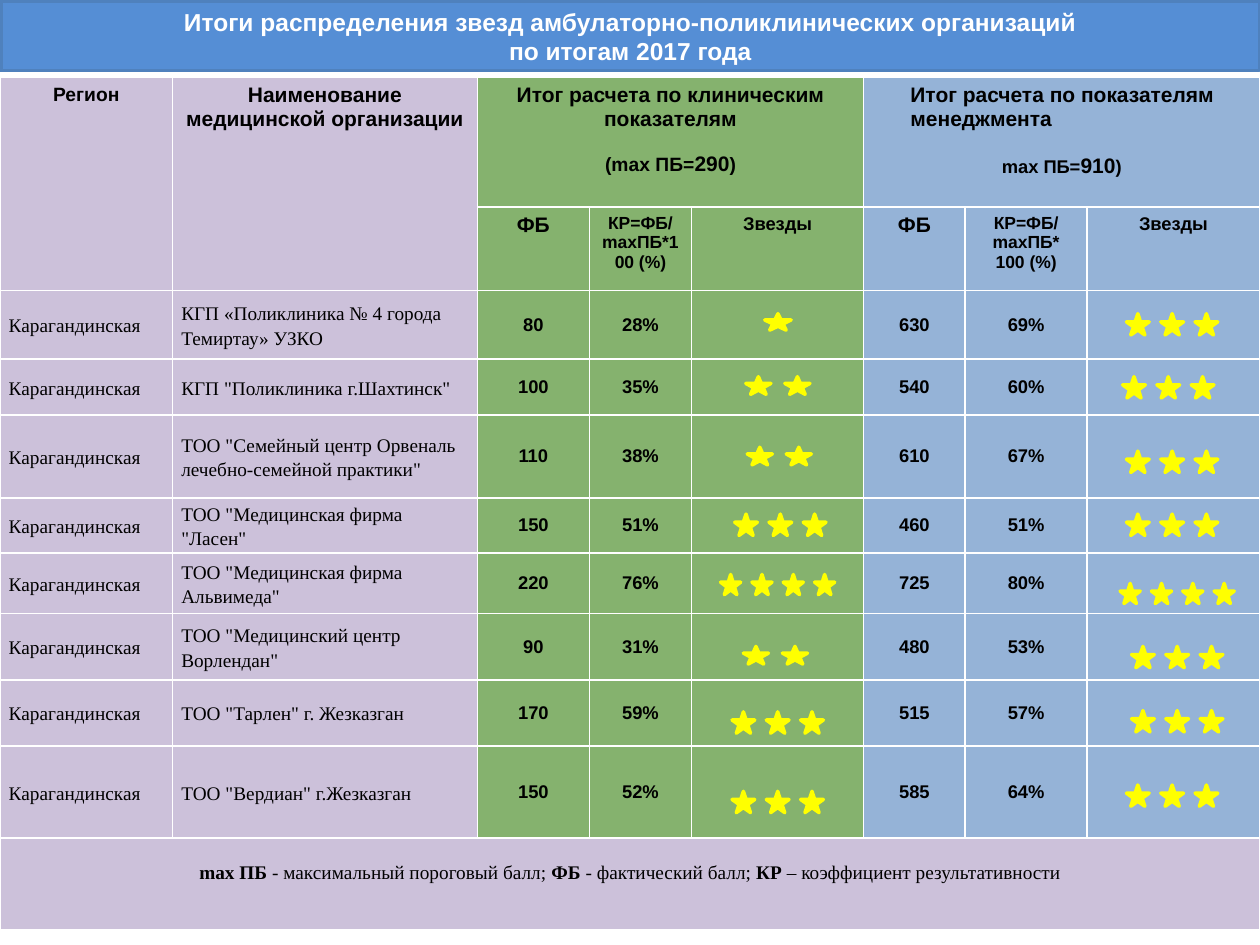
from dataclasses import dataclass
from typing import NamedTuple

from lxml import etree
from pptx import Presentation
from pptx import util as u
from pptx.dml.color import RGBColor
from pptx.enum import shapes, text
from pptx.oxml import ns

COLORS = {
    "title": "558ED5", "title_line": "4F81BD", "white": "FFFFFF", "black": "000000",
    "lilac": "CCC1DA", "green": "85B26E", "blue": "95B3D7", "star": "FFFF00",
}
SANS, SERIF = "Arial", "Times New Roman"
CENTER, LEFT = text.PP_ALIGN.CENTER, text.PP_ALIGN.LEFT

COLUMN_WIDTHS = [98.6, 174.2, 64, 58.4, 98.4, 58, 69.6, 98.8]
ROW_HEIGHTS = [74.2, 47.6, 39.2, 32, 47.4, 31.4, 34.8, 37.8, 37.8, 52.6, 52.6]
COLUMN_FILLS = ["lilac"] * 2 + ["green"] * 3 + ["blue"] * 3
REGION = "Карагандинская"


class Run(NamedTuple):
    words: str
    size: float
    bold: bool = True


class StarStyle(NamedTuple):
    width: float
    height: float
    pitch: float


class Rating(NamedTuple):
    stars: int
    left: float
    top: float


@dataclass
class Clinic:
    name: str
    clinical_score: str
    clinical_share: str
    clinical: Rating
    management_score: str
    management_share: str
    management: Rating


# Star size depends on how many stars stand in the row
STAR_STYLES = {
    1: StarStyle(15.1, 9.4, 0),
    2: StarStyle(14.4, 10.1, 22.3),
    3: StarStyle(13, 12.2, 19.6),
    4: StarStyle(11.5, 11.5, 17.9),
}

CLINICS = [
    Clinic("КГП «Поликлиника № 4 города Темиртау» УЗКО",
           "80", "28%", Rating(1, 437, 179.3), "630", "69%", Rating(3, 643.7, 179.3)),
    Clinic('КГП "Поликлиника г.Шахтинск"',
           "100", "35%", Rating(2, 426.2, 215.3), "540", "60%", Rating(3, 641.5, 215.3)),
    Clinic('ТОО "Семейный центр Орвеналь\nлечебно-семейной практики"',
           "110", "38%", Rating(2, 427, 255.6), "610", "67%", Rating(3, 643.7, 257.8)),
    Clinic('ТОО "Медицинская фирма "Ласен"',
           "150", "51%", Rating(3, 419.8, 293.8), "460", "51%", Rating(3, 643.7, 293.8)),
    Clinic('ТОО "Медицинская фирма Альвимеда"',
           "220", "76%", Rating(4, 411.8, 328.3), "725", "80%", Rating(4, 640.1, 333.4)),
    Clinic('ТОО "Медицинский центр Ворлендан"',
           "90", "31%", Rating(2, 424.8, 369.4), "480", "53%", Rating(3, 646.6, 369.4)),
    Clinic('ТОО "Тарлен" г. Жезказган',
           "170", "59%", Rating(3, 418.3, 406.8), "515", "57%", Rating(3, 646.6, 406.1)),
    Clinic('ТОО "Вердиан" г.Жезказган',
           "150", "52%", Rating(3, 418.3, 452.2), "585", "64%", Rating(3, 643.7, 448.6)),
]


def rgb(name: str) -> RGBColor:
    return RGBColor.from_string(COLORS[name])


def set_font(font, size: float, face: str = SANS, bold: bool = True, color: str = "black") -> None:
    font.size, font.name, font.bold = u.Pt(size), face, bold
    font.color.rgb = rgb(color)


def write(paragraph, words: str, size: float, face: str = SANS, bold: bool = True,
          align=CENTER, color: str = "black") -> None:
    paragraph.text = words
    paragraph.alignment = align
    set_font(paragraph.font, size, face, bold, color)


def write_runs(paragraph, runs: list[Run], face: str = SANS) -> None:
    paragraph.alignment = CENTER
    for part in runs:
        run = paragraph.add_run()
        run.text = part.words
        set_font(run.font, part.size, face, part.bold)


def set_margins(cell, side: float, bottom: float = 0) -> None:
    cell.margin_left = cell.margin_right = u.Pt(side)
    cell.margin_top, cell.margin_bottom = 0, u.Pt(bottom)
    cell.vertical_anchor = text.MSO_ANCHOR.MIDDLE


def paint_cell(cell, fill: str) -> None:
    """Give the cell white 1 pt borders and a solid fill."""
    properties = cell._tc.get_or_add_tcPr()
    for side in ("a:lnL", "a:lnR", "a:lnT", "a:lnB"):
        line = etree.SubElement(properties, ns.qn(side), w=str(u.Pt(1)))
        solid = etree.SubElement(line, ns.qn("a:solidFill"))
        etree.SubElement(solid, ns.qn("a:srgbClr"), val=COLORS["white"])
    cell.fill.solid()
    cell.fill.fore_color.rgb = rgb(fill)


def add_title(slide) -> None:
    banner = slide.shapes.add_shape(shapes.MSO_SHAPE.RECTANGLE,
                                    u.Pt(0.7), u.Pt(0.7), u.Pt(719), u.Pt(39.6))
    banner.shadow.inherit = False
    banner.fill.solid()
    banner.fill.fore_color.rgb = rgb("title")
    banner.line.color.rgb = rgb("title_line")
    banner.line.width = u.Pt(2)
    frame = banner.text_frame
    frame.word_wrap = True
    frame.vertical_anchor = text.MSO_ANCHOR.MIDDLE
    write(frame.paragraphs[0],
          "Итоги распределения звезд амбулаторно-поликлинических организаций\nпо итогам 2017 года",
          14, color="white")


def add_headings(table) -> None:
    for column, (heading, size) in enumerate(
            [("Регион", 11), ("Наименование медицинской организации", 12)]):
        table.cell(0, column).merge(table.cell(1, column))
        write(table.cell(0, column).text_frame.paragraphs[0], heading, size)

    groups = [
        (2, "Итог расчета по клиническим показателям", CENTER, 12.65,
         [Run("(mах ПБ=", 11), Run("290", 12), Run(")", 11)]),
        (5, "Итог расчета по показателям менеджмента", LEFT, 13.8,
         [Run("mах ПБ=", 10.5), Run("910", 12), Run(")", 10.5)]),
    ]
    for column, heading, align, gap, maximum in groups:
        table.cell(0, column).merge(table.cell(0, column + 2))
        frame = table.cell(0, column).text_frame
        if align == LEFT:
            frame.paragraphs[0]._p.get_or_add_pPr().set("marL", str(u.Pt(19.5)))
        write(frame.paragraphs[0], heading, 12, align=align)
        limit = frame.add_paragraph()
        limit.space_before = u.Pt(gap)
        write_runs(limit, maximum)
        write(table.cell(1, column).text_frame.paragraphs[0], "ФБ", 12)
        write(table.cell(1, column + 2).text_frame.paragraphs[0], "Звезды", 10.5)

    write(table.cell(1, 3).text_frame.paragraphs[0], "КР=ФБ/mахПБ*100 (%)", 10)
    ratio = table.cell(1, 6).text_frame
    write(ratio.paragraphs[0], "КР=ФБ/", 10)
    write(ratio.add_paragraph(), "mахПБ* 100 (%)", 10)


def add_clinic(table, row: int, clinic: Clinic) -> None:
    for column, words in enumerate([REGION, clinic.name]):
        cell = table.cell(row, column)
        set_margins(cell, 5)
        paragraph = cell.text_frame.paragraphs[0]
        paragraph.line_spacing = 1.15
        write(paragraph, words, 11, SERIF, False, LEFT)
    figures = {2: clinic.clinical_score, 3: clinic.clinical_share,
               5: clinic.management_score, 6: clinic.management_share}
    for column, figure in figures.items():
        set_margins(table.cell(row, column), 0)
        write(table.cell(row, column).text_frame.paragraphs[0], figure, 10.5)


def add_legend(table, row: int) -> None:
    legend = table.cell(row, 0)
    legend.merge(table.cell(row, len(COLUMN_WIDTHS) - 1))
    set_margins(legend, 5, 14.5)
    paragraph = legend.text_frame.paragraphs[0]
    paragraph.line_spacing = 1.15
    write_runs(paragraph, [
        Run("mах ПБ ", 11), Run("- максимальный пороговый балл; ", 11, False),
        Run("ФБ", 11), Run(" - фактический балл; ", 11, False),
        Run("КР", 11), Run(" – коэффициент результативности", 11, False)], SERIF)


def add_results(slide) -> None:
    table = slide.shapes.add_table(len(ROW_HEIGHTS), len(COLUMN_WIDTHS), 0, u.Pt(44.2),
                                   u.Pt(sum(COLUMN_WIDTHS)), u.Pt(sum(ROW_HEIGHTS))).table
    table.first_row = table.horz_banding = False
    for column, width in zip(table.columns, COLUMN_WIDTHS):
        column.width = u.Pt(width)
    last_row = len(ROW_HEIGHTS) - 1
    for index, height in enumerate(ROW_HEIGHTS):
        table.rows[index].height = u.Pt(height)
        for column, fill in enumerate(COLUMN_FILLS):
            paint_cell(table.cell(index, column), "lilac" if index == last_row else fill)
    add_headings(table)
    for row, clinic in enumerate(CLINICS, start=2):
        add_clinic(table, row, clinic)
    add_legend(table, last_row)


def add_stars(slide, rating: Rating) -> None:
    style = STAR_STYLES[rating.stars]
    holder = slide.shapes if rating.stars == 1 else slide.shapes.add_group_shape().shapes
    for index in range(rating.stars):
        star = holder.add_shape(shapes.MSO_SHAPE.STAR_5_POINT,
                                u.Pt(rating.left + index * style.pitch), u.Pt(rating.top),
                                u.Pt(style.width), u.Pt(style.height))
        star.shadow.inherit = False
        star.fill.solid()
        star.fill.fore_color.rgb = star.line.color.rgb = rgb("star")
        star.line.width = u.Pt(2)


def main() -> None:
    deck = Presentation()
    deck.slide_width, deck.slide_height = u.Pt(720), u.Pt(540)
    slide = deck.slides.add_slide(deck.slide_layouts[6])
    add_title(slide)
    add_results(slide)
    for clinic in CLINICS:
        add_stars(slide, clinic.clinical)
        add_stars(slide, clinic.management)
    deck.save("out.pptx")


if __name__ == "__main__":
    main()
